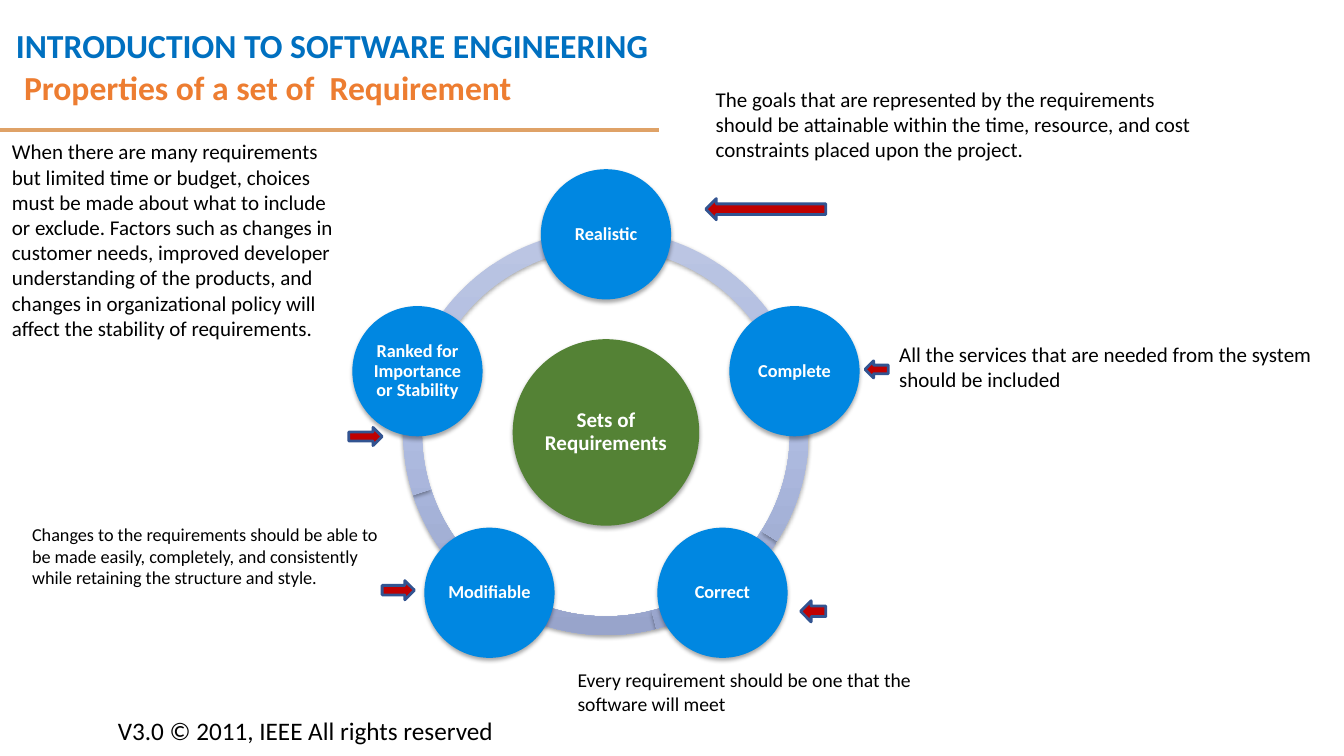
"""Build a slide on the properties of a set of requirements."""
import copy
import math

from lxml import etree
from pptx import Presentation
from pptx import util as u
from pptx.dml.color import RGBColor
from pptx.enum import shapes, text
from pptx.oxml.ns import qn

COLORS = {
    "title": "0070C0", "subtitle": "ED7D31", "rule": "DFA267",
    "black": "000000", "white": "FFFFFF", "hub": "548235", "property": "0087E1",
    "arrow": "C00000", "arrow edge": "325491",
    "ring top": "BBC5E3", "ring middle": "AEBBE0", "ring bottom": "98A4CB",
}
RGB = {name: RGBColor.from_string(value) for name, value in COLORS.items()}

deck = Presentation()
deck.slide_width, deck.slide_height = u.Inches(13.33), u.Inches(7.5)
page = deck.slides.add_slide(deck.slide_layouts[6])
CELL = deck.slide_height / 90


def write(box, words, size=15, color="black", bold=False, spacing=1.0, after=0,
          align=text.PP_ALIGN.LEFT, anchor=text.MSO_ANCHOR.TOP, inset=(0.1, 0.05), wrap=True):
    frame = box.text_frame
    frame.word_wrap = wrap
    frame.vertical_anchor = anchor
    frame.margin_left = frame.margin_right = u.Inches(inset[0])
    frame.margin_top = frame.margin_bottom = u.Inches(inset[1])
    para = frame.paragraphs[0]
    para.alignment, para.line_spacing, para.space_after = align, spacing, u.Pt(after)
    span = para.add_run()
    span.text = words
    span.font.name, span.font.size, span.font.bold = "Calibri", u.Pt(size), bold
    span.font.color.rgb = RGB[color]


def add_round(kind, diameter, across, down):
    corner = [round((center - diameter / 2) * CELL) for center in (across, down)]
    shape = page.shapes.add_shape(kind, *corner, round(diameter * CELL), round(diameter * CELL))
    shape.line.fill.background()
    shape.shadow.inherit = False
    effects = shape.element.spPr.find(qn("a:effectLst"))
    shadow = etree.SubElement(effects, qn("a:outerShdw"), blurRad=str(u.Pt(3.1)),
                              dist=str(u.Pt(1.8)), dir="5400000", rotWithShape="0")
    tint = etree.SubElement(shadow, qn("a:srgbClr"), val=COLORS["black"])
    etree.SubElement(tint, qn("a:alpha"), val="35000")
    return shape


rule_height = round(15.48 * CELL)
rule = page.shapes.add_connector(shapes.MSO_CONNECTOR.STRAIGHT, 0, rule_height,
                                 round(78.48 * CELL), rule_height)
rule.line.color.rgb, rule.line.width = RGB["rule"], u.Pt(3)
etree.SubElement(rule.element.spPr, qn("a:effectLst"))

HUB_X, HUB_Y, ORBIT = 72.12, 51.48, 23.59
RING_STOPS = [(0, "ring top"), (0.5, "ring middle"), (1, "ring bottom")]
GAP_START, ARC_SWEEP = 32.4, 43.2
for step in (2, 1, 0, 4, 3):
    start = GAP_START + step * ARC_SWEEP
    end = GAP_START + (step + 1) % 5 * ARC_SWEEP
    arc = add_round(shapes.MSO_SHAPE.BLOCK_ARC, 48.24, HUB_X, HUB_Y)
    for index, value in enumerate((start * 0.6, end * 0.6, 0.046)):
        arc.adjustments[index] = value
    arc.fill.gradient()
    arc.fill.gradient_angle = 270
    stop_list = arc.element.spPr.find(".//" + qn("a:gsLst"))
    stop_list.insert(1, copy.deepcopy(stop_list[0]))
    for stop, (position, color) in zip(arc.fill.gradient_stops, RING_STOPS):
        stop.position, stop.color.rgb = position, RGB[color]

circles = [("Sets of Requirements", "hub", 22.2, 15, 5.2, HUB_X, HUB_Y)]
PROPERTIES = ["Realistic", "Complete", "Correct", "Modifiable",
              "Ranked for Importance or Stability"]
for number, label in enumerate(PROPERTIES):
    turn = math.tau * number / len(PROPERTIES)
    circles.append((label, "property", 15.5, 13, 4.6,
                    HUB_X + ORBIT * math.sin(turn), HUB_Y - ORBIT * math.cos(turn)))
for label, color, diameter, size, after, across, down in circles:
    circle = add_round(shapes.MSO_SHAPE.OVAL, diameter, across, down)
    circle.fill.solid()
    circle.fill.fore_color.rgb = RGB[color]
    write(circle, label, size=size, color="white", bold=True, spacing=0.9, after=after,
          align=text.PP_ALIGN.CENTER, anchor=text.MSO_ANCHOR.MIDDLE, inset=(0.02, 0.02))

TEXTS = [
    ((0.72, 0, 118.44, 8.4), "INTRODUCTION TO SOFTWARE ENGINEERING",
     dict(size=24, color="title", bold=True, spacing=1.5)),
    ((1.68, 6.96, 138, 7.32), "Properties of a set of  Requirement",
     dict(size=24, color="subtitle", bold=True, spacing=0.9, anchor=text.MSO_ANCHOR.MIDDLE)),
    ((12.84, 84.6, 58.56, 4.8), "V3.0 © 2011, IEEE All rights reserved",
     dict(size=18, wrap=False)),
    ((84, 9.72, 59.04, 13.2),
     "The goals that are represented by the requirements should be attainable within "
     "the time, resource, and cost constraints placed upon the project.", {}),
    ((105.84, 40.08, 54.24, 7.2),
     "All the services that are needed from the system should be included", {}),
    ((67.56, 78.96, 45.36, 6.72),
     "Every requirement should be one that the software will meet", dict(size=14)),
    ((2.64, 61.68, 45.12, 11.52),
     "Changes to the requirements should be able to be made easily, completely, and "
     "consistently while retaining the structure and style.", dict(size=13)),
    ((0.24, 15.96, 41.28, 34.08),
     "When there are many requirements but limited time or budget, choices must be made "
     "about what to include or exclude. Factors such as changes in customer needs, improved "
     "developer understanding of the products, and changes in organizational policy will "
     "affect the stability of requirements.", {}),
]
for place, words, style in TEXTS:
    box = page.shapes.add_textbox(*[round(cells * CELL) for cells in place])
    write(box, words, **style)

LEFT, RIGHT = shapes.MSO_SHAPE.LEFT_ARROW, shapes.MSO_SHAPE.RIGHT_ARROW
ARROWS = [
    (LEFT, 84, 23.64, 14.28, 2.52),
    (LEFT, 102.96, 42.96, 2.76, 2.04),
    (LEFT, 95.28, 71.52, 3, 2.52),
    (RIGHT, 45.48, 69.12, 3.84, 2.28),
    (RIGHT, 41.52, 50.88, 3.96, 2.16),
]
for kind, *place in ARROWS:
    arrow = page.shapes.add_shape(kind, *[round(cells * CELL) for cells in place])
    arrow.shadow.inherit = False
    arrow.fill.solid()
    arrow.fill.fore_color.rgb = RGB["arrow"]
    arrow.line.color.rgb, arrow.line.width = RGB["arrow edge"], u.Pt(2)

deck.save("out.pptx")
